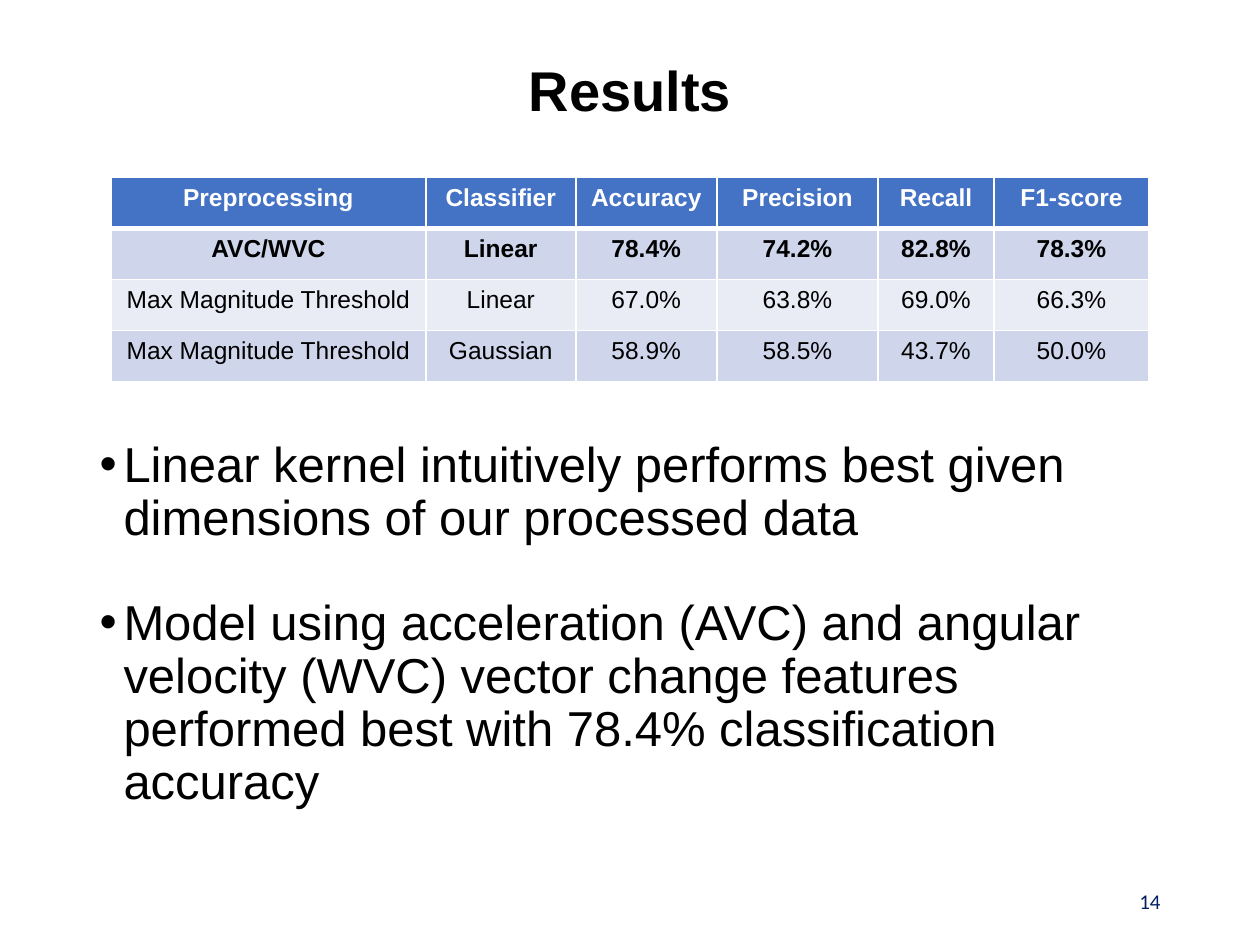
from dataclasses import dataclass

from lxml.etree import SubElement as Sub
from pptx import Presentation
from pptx.dml.color import RGBColor
from pptx.enum.text import MSO_ANCHOR as Anchor, MSO_AUTO_SIZE as Fit, PP_ALIGN as Align
from pptx.oxml.ns import qn
from pptx.util import Inches, Pt

UNIT = 0.1  # inches: the slide is a grid of 100 columns and 75 rows
WHITE, BLACK, NAVY = "FFFFFF", "000000", "002060"
HEAD, DARK, LIGHT = "4472C4", "CFD5EA", "E9EBF5"


@dataclass
class Box:
    col: float
    row: float
    wide: float
    high: float

    def spots(self) -> list:
        return [grid(n) for n in (self.col, self.row, self.wide, self.high)]


@dataclass
class Style:
    size: float
    color: str = BLACK
    bold: bool = False
    name: str = "Arial"


@dataclass
class Band:
    fill: str
    style: Style
    cells: tuple


TITLE = Box(6.9, 4, 86.2, 6.8)
BODY = Box(6.9, 34.4, 86.2, 30.9)
PAGE = Box(70.6, 69.5, 22.5, 4)
TABLE = Box(8.8, 14.1, 82.4, 16.2)
COLS = (25, 11.9, 11.2, 12.8, 9.2, 12.3)

PLAIN = Style(14)
BANDS = (
    Band(HEAD, Style(14, WHITE, True),
         ("Preprocessing", "Classifier", "Accuracy", "Precision", "Recall", "F1-score")),
    Band(DARK, Style(14, bold=True),
         ("AVC/WVC", "Linear", "78.4%", "74.2%", "82.8%", "78.3%")),
    Band(LIGHT, PLAIN,
         ("Max Magnitude Threshold", "Linear", "67.0%", "63.8%", "69.0%", "66.3%")),
    Band(DARK, PLAIN,
         ("Max Magnitude Threshold", "Gaussian", "58.9%", "58.5%", "43.7%", "50.0%")),
)
POINTS = (
    "Linear kernel intuitively performs best given dimensions of our processed data",
    "Model using acceleration (AVC) and angular velocity (WVC) vector change features "
    "performed best with 78.4% classification accuracy",
)


def grid(n: float) -> int:
    return Inches(n * UNIT)


def paint(code: str) -> RGBColor:
    return RGBColor.from_string(code)


def assign(item, **values) -> None:
    for key, value in values.items():
        setattr(item, key, value)


def write(para, text: str, style: Style) -> None:
    run = para.add_run()
    run.text = text
    assign(run.font, size=Pt(style.size), bold=style.bold, name=style.name)
    run.font.color.rgb = paint(style.color)


def place(shape, box: Box, anchor=Anchor.TOP):
    """Move a text shape to its box and return its text frame."""
    assign(shape, **dict(zip(("left", "top", "width", "height"), box.spots())))
    assign(shape.text_frame, word_wrap=True, auto_size=Fit.NONE, vertical_anchor=anchor)
    return shape.text_frame


def bullet(para) -> None:
    props = para._p.get_or_add_pPr()
    props.set("marL", str(Inches(0.19)))
    props.set("indent", str(-Inches(0.19)))
    Sub(Sub(props, qn("a:buClr")), qn("a:srgbClr"), val=BLACK)
    Sub(props, qn("a:buFont"), typeface="Arial")
    Sub(props, qn("a:buChar"), char="•")


def edge(cell, sides: dict) -> None:
    props = cell._tc.get_or_add_tcPr()
    for side, width in sides.items():
        line = Sub(props, qn(f"a:ln{side}"), w=str(Pt(width)))
        Sub(Sub(line, qn("a:solidFill")), qn("a:srgbClr"), val=WHITE)


def fill_table(slide) -> None:
    table = slide.shapes.add_table(len(BANDS), len(COLS), *TABLE.spots()).table
    for col, wide in zip(table.columns, COLS):
        col.width = grid(wide)
    for r, band in enumerate(BANDS):
        table.rows[r].height = grid(TABLE.high / len(BANDS))
        for c, text in enumerate(band.cells):
            cell = table.cell(r, c)
            edge(cell, {"L": 1, "R": 1, "T": 3 if r == 1 else 1, "B": 3 if r == 0 else 1})
            cell.fill.solid()
            cell.fill.fore_color.rgb = paint(band.fill)
            para = cell.text_frame.paragraphs[0]
            para.alignment = Align.CENTER
            write(para, text, band.style)


def main() -> None:
    deck = Presentation()
    assign(deck, slide_width=grid(100), slide_height=grid(75))
    slide = deck.slides.add_slide(deck.slide_layouts[1])

    head = place(slide.shapes.title, TITLE, Anchor.MIDDLE).paragraphs[0]
    assign(head, alignment=Align.CENTER, line_spacing=0.9)
    write(head, "Results", Style(32, bold=True))

    frame = place(slide.placeholders[1], BODY)
    for i, text in enumerate(POINTS):
        para = frame.add_paragraph() if i else frame.paragraphs[0]
        assign(para, line_spacing=0.9, space_before=Pt(30 * i), space_after=Pt(0))
        bullet(para)
        write(para, text, Style(28))

    box = slide.shapes.add_textbox(*PAGE.spots())
    page = place(box, PAGE, Anchor.MIDDLE).paragraphs[0]
    page.alignment = Align.RIGHT
    write(page, "14", Style(12, NAVY, name="Calibri"))

    fill_table(slide)
    deck.save("out.pptx")


if __name__ == "__main__":
    main()
